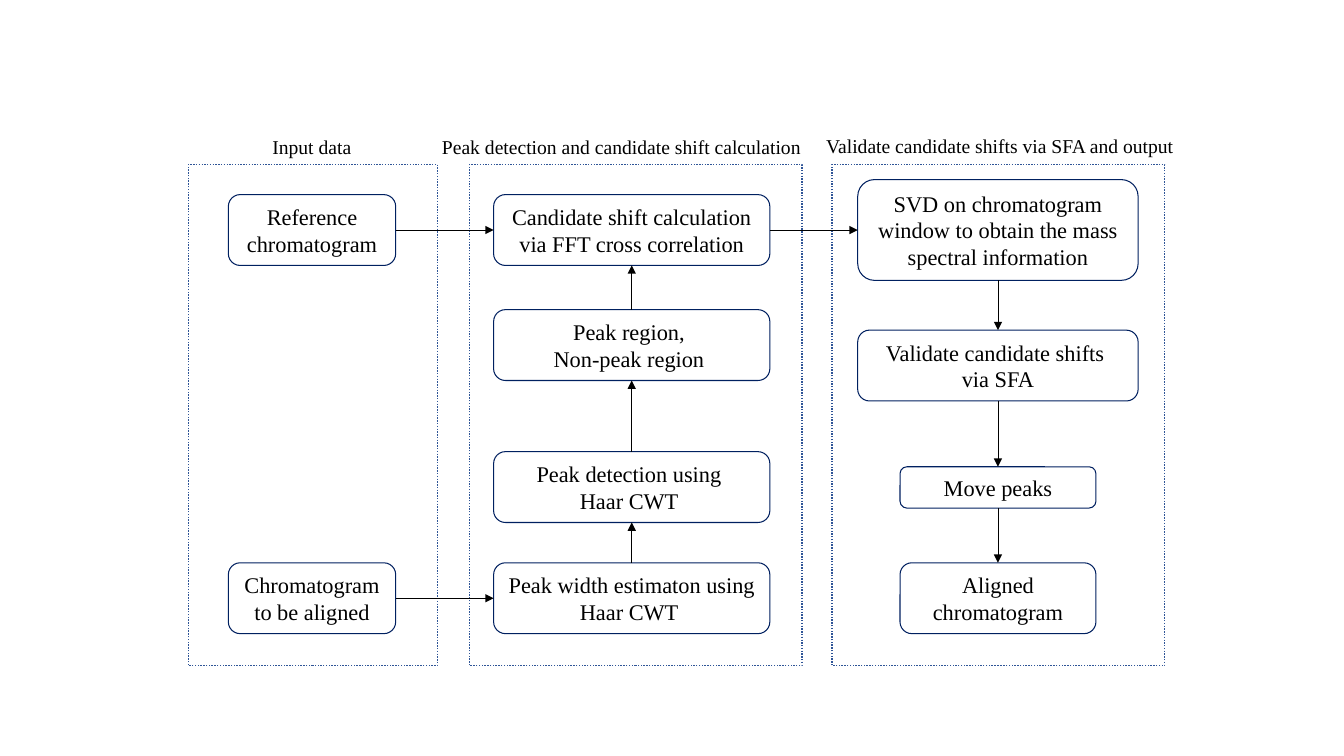
from dataclasses import dataclass
from typing import Any

from lxml.etree import SubElement
from pptx import Presentation
from pptx.dml.color import RGBColor
from pptx.enum.dml import MSO_LINE
from pptx.enum.shapes import MSO_CONNECTOR, MSO_SHAPE
from pptx.enum.text import MSO_ANCHOR, PP_ALIGN
from pptx.oxml.ns import qn
from pptx.util import Pt

COLORS = {"text": "000000", "arrow": "000000", "box": "002060", "frame": "2F5597"}
FONT = {"name": "Times New Roman"}
TOP, LEFT, BOTTOM, RIGHT = range(4)  # connection sites of a rounded rectangle
FRAME_TOP, FRAME_HEIGHT = 117.5, 358


@dataclass(frozen=True)
class Column:
    left: float
    width: float


@dataclass(frozen=True)
class Stage:
    frame: Column
    title: str
    title_left: float
    title_top: float
    title_width: float


@dataclass(frozen=True)
class Step:
    key: str
    column: Column
    top: float
    text: str
    height: float = 50.6


@dataclass(frozen=True)
class Arrow:
    start: str
    start_site: int
    end: str
    end_site: int


INPUT = Column(163.2, 119.6)
DETECTION = Column(352.8, 197.4)
VALIDATION = Column(613, 200.4)
OUTPUT = Column(643.2, 140)

STAGES = [
    Stage(Column(134.6, 178), "Input data", 187.2, 92.9, 71.3),
    Stage(Column(335.5, 237.6), "Peak detection and candidate shift calculation ",
          305.3, 92.9, 281.5),
    Stage(Column(594.7, 237.6), "Validate candidate shifts via SFA and output",
          581.8, 91.8, 265.7),
]

# Trailing spaces count in the centring of a line.
STEPS = [
    Step("reference", INPUT, 139, "Reference chromatogram"),
    Step("chromatogram", INPUT, 402, "Chromatogram to be aligned"),
    Step("shift", DETECTION, 139,
         "Candidate shift calculation via FFT cross correlation"),
    Step("region", DETECTION, 221.2, "Peak region, \nNon-peak region "),
    Step("detection", DETECTION, 322.6, "Peak detection using \nHaar CWT "),
    Step("width", DETECTION, 402, "Peak width estimaton using Haar CWT "),
    Step("svd", VALIDATION, 128.3,
         "SVD on chromatogram window to obtain the mass\nspectral information", 72),
    Step("validate", VALIDATION, 235.8, "Validate candidate shifts \nvia SFA"),
    Step("move", OUTPUT, 333.4, "Move peaks", 29.5),
    Step("aligned", OUTPUT, 402, "Aligned chromatogram"),
]

ARROWS = [
    Arrow("reference", RIGHT, "shift", LEFT),
    Arrow("chromatogram", RIGHT, "width", LEFT),
    Arrow("width", TOP, "detection", BOTTOM),
    Arrow("detection", TOP, "region", BOTTOM),
    Arrow("region", TOP, "shift", BOTTOM),
    Arrow("shift", RIGHT, "svd", LEFT),
    Arrow("svd", BOTTOM, "validate", TOP),
    Arrow("validate", BOTTOM, "move", TOP),
    Arrow("move", BOTTOM, "aligned", TOP),
]


def set_format(target: Any, values: dict[str, Any]) -> None:
    for name, value in values.items():
        setattr(target, name, value)


def write_text(shape: Any, text: str, size: float, **frame_format: Any) -> None:
    margins = {"margin_left": Pt(7.2), "margin_right": Pt(7.2),
               "margin_top": Pt(3.6), "margin_bottom": Pt(3.6)}
    text_frame = shape.text_frame
    set_format(text_frame, {**margins, **frame_format})
    text_frame.text = text
    for paragraph in text_frame.paragraphs:
        paragraph.alignment = PP_ALIGN.CENTER
        for run in paragraph.runs:
            set_format(run.font, {**FONT, "size": Pt(size)})
            run.font.color.rgb = RGBColor.from_string(COLORS["text"])


def add_outline(shapes: Any, kind: MSO_SHAPE, column: Column, top: float,
                height: float, color: str, line_format: dict[str, Any]) -> Any:
    """Add an unfilled shape with a coloured outline."""
    shape = shapes.add_shape(kind, Pt(column.left), Pt(top), Pt(column.width), Pt(height))
    shape.shadow.inherit = False
    shape.fill.background()
    shape.line.color.rgb = RGBColor.from_string(COLORS[color])
    set_format(shape.line, line_format)
    return shape


def add_step(shapes: Any, step: Step) -> Any:
    shape = add_outline(shapes, MSO_SHAPE.ROUNDED_RECTANGLE, step.column, step.top,
                        step.height, "box", {"width": Pt(0.75)})
    write_text(shape, step.text, 16, word_wrap=True, vertical_anchor=MSO_ANCHOR.MIDDLE)
    return shape


def add_stage(shapes: Any, stage: Stage) -> None:
    add_outline(shapes, MSO_SHAPE.RECTANGLE, stage.frame, FRAME_TOP, FRAME_HEIGHT,
                "frame", {"width": Pt(1), "dash_style": MSO_LINE.ROUND_DOT})
    title = shapes.add_textbox(Pt(stage.title_left), Pt(stage.title_top),
                               Pt(stage.title_width), Pt(24.5))
    write_text(title, stage.title, 14, word_wrap=False, vertical_anchor=MSO_ANCHOR.TOP)


def add_arrow(shapes: Any, arrow: Arrow, boxes: dict[str, Any]) -> None:
    connector = shapes.add_connector(MSO_CONNECTOR.STRAIGHT, 0, 0, 0, 0)
    connector.begin_connect(boxes[arrow.start], arrow.start_site)
    connector.end_connect(boxes[arrow.end], arrow.end_site)
    connector.line.color.rgb = RGBColor.from_string(COLORS["arrow"])
    connector.line.width = Pt(0.5)
    properties = connector._element.spPr
    SubElement(properties.find(qn("a:ln")), qn("a:tailEnd"), type="triangle")
    SubElement(properties, qn("a:effectLst"))


def main() -> None:
    presentation = Presentation()
    set_format(presentation, {"slide_width": Pt(960.48), "slide_height": Pt(540)})
    slide = presentation.slides.add_slide(presentation.slide_layouts[6])
    boxes = {step.key: add_step(slide.shapes, step) for step in STEPS}
    for stage in STAGES:
        add_stage(slide.shapes, stage)
    for arrow in ARROWS:
        add_arrow(slide.shapes, arrow, boxes)
    presentation.save("out.pptx")


if __name__ == "__main__":
    main()
